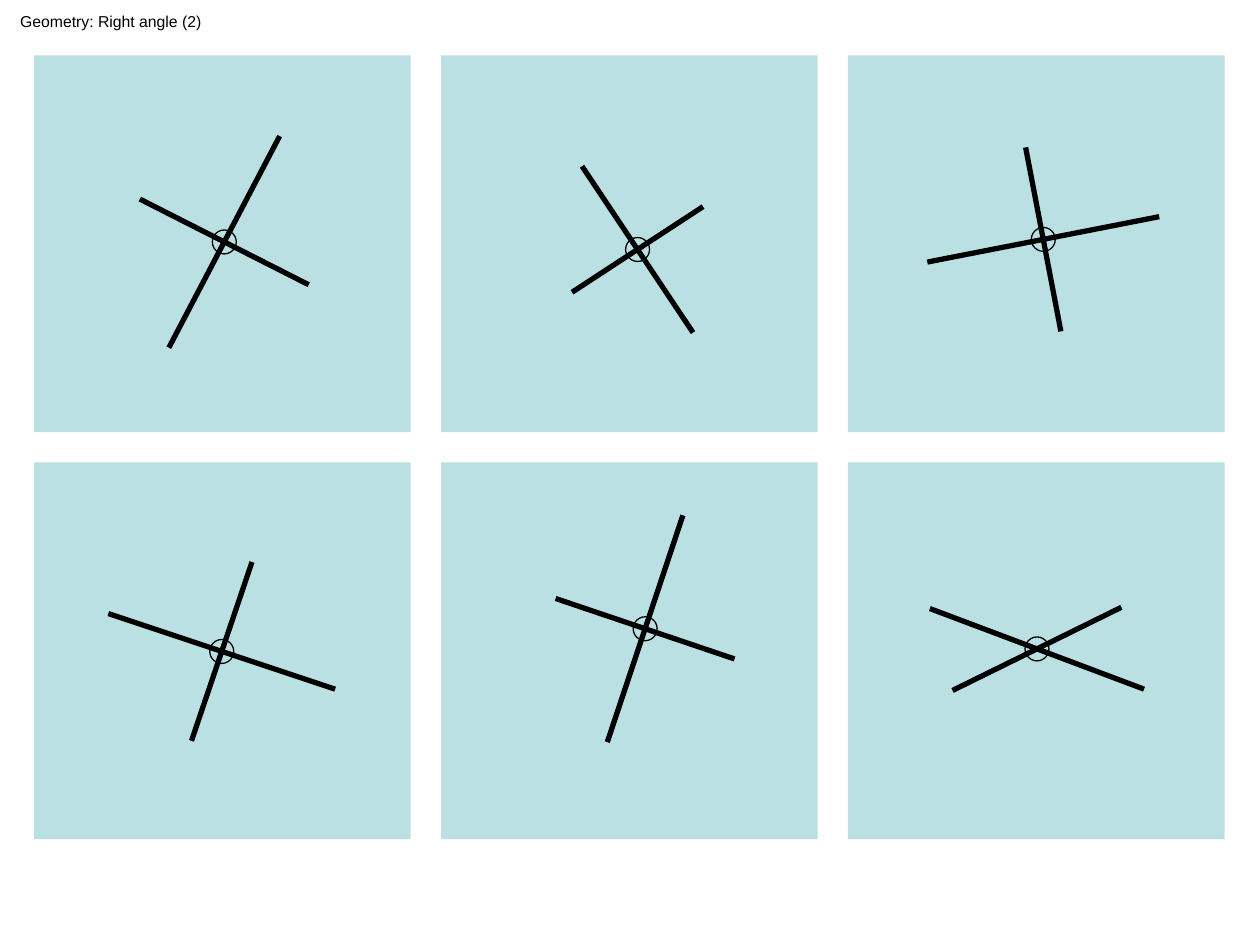
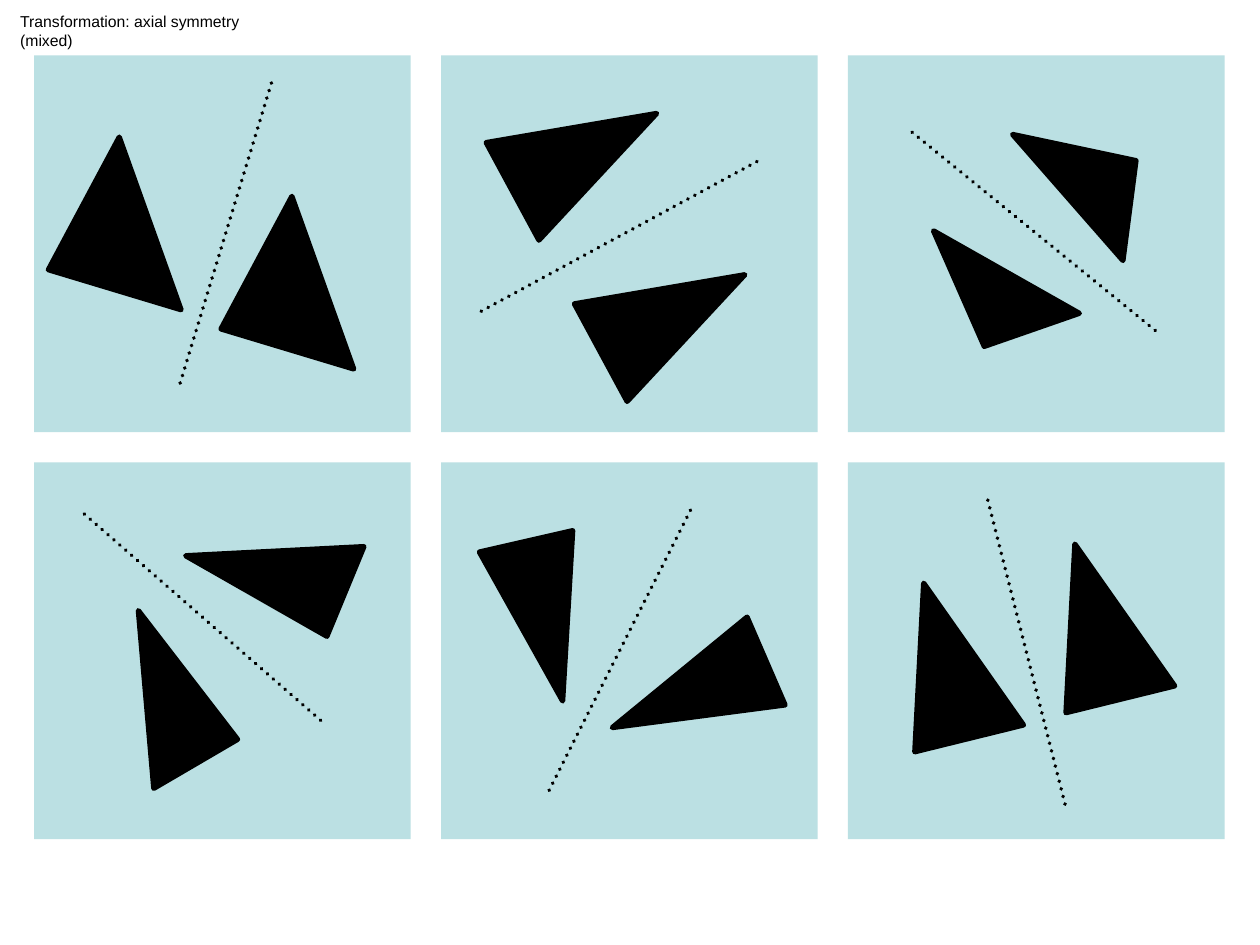
"""Build two geometry slides, each a grid of six panels."""
from dataclasses import dataclass
from pptx import Presentation, util as u
from pptx.dml.color import RGBColor as Rgb
from pptx.enum import dml, shapes, text
from pptx.oxml.ns import qn
from lxml import etree


@dataclass(frozen=True)
class Theme:
    """Colours, type, line widths and grid measures in inches."""
    ink: Rgb = Rgb(0, 0, 0)
    pale: Rgb = Rgb(0xBB, 0xE0, 0xE3)
    font: str = "Arial"
    size: float = 9
    bold: float = 3
    mid: float = 2.25
    thin: float = 0.75
    cols: int = 3
    left: float = 0.27
    top: float = 0.44
    side: float = 2.99
    step: float = 3.23
    ring: float = 0.19


T = Theme()

# Each cross: centre in its panel, then half of each stroke.
CROSSES = [
    ((1.51, 1.48), (-0.44, 0.84), (0.67, 0.34)),
    ((1.56, 1.54), (0.44, 0.66), (0.52, -0.34)),
    ((1.55, 1.46), (0.92, -0.18), (-0.14, -0.73)),
    ((1.49, 1.5), (0.9, 0.3), (0.24, -0.71)),
    ((1.62, 1.32), (0.3, -0.9), (-0.71, -0.24)),
    ((1.5, 1.48), (-0.85, -0.32), (-0.67, 0.33)),
]

# Each mirror: axis ends, then triangles as centre, size, peak and turn.
MIRRORS = [
    ((1.16, 2.6), (1.89, 0.2),
     [((2.18, 1.77), (1.1, 1.17), 0.213, 16.8),
      ((0.81, 1.3), (1.1, 1.17), 0.213, 16.8)]),
    ((0.32, 2.03), (2.53, 0.83),
     [((1.84, 2.05), (0.88, 1.3), 0.5, 61.6),
      ((1.14, 0.77), (0.88, 1.3), 0.5, 61.6)]),
    ((0.51, 0.61), (2.46, 2.2),
     [((1.97, 0.93), (1.33, 0.6), 0.603, 48.8),
      ((1.11, 1.98), (1.33, 0.6), 0.397, 209.5)]),
    ((0.4, 0.41), (2.29, 2.06),
     [((1.88, 0.78), (0.77, 1.28), 0.213, 292.4),
      ((0.96, 1.84), (0.77, 1.28), 0.787, 329.7)]),
    ((1.98, 0.38), (0.85, 2.62),
     [((0.82, 1.26), (0.76, 1.3), 0.5, 167.1),
      ((1.97, 1.84), (0.76, 1.33), 0.5, 246.6)]),
    ((1.11, 0.3), (1.73, 2.74),
     [((2.19, 1.34), (1.34, 0.85), 0.808, 93),
      ((0.99, 1.65), (1.34, 0.85), 0.808, 93)]),
]


def cell(num):
    """Return the top left corner of a panel."""
    row, col = divmod(num, T.cols)
    return T.left + col * T.step, T.top + row * T.step


def add(a, b, sign=1):
    """Return point a moved by b, or back by it."""
    return a[0] + sign * b[0], a[1] + sign * b[1]


def form(slide, kind, mid, size, fill=None, line=0):
    """Draw a preset shape around its centre."""
    pos = add(mid, size, -0.5)
    shape = slide.shapes.add_shape(kind, *map(u.Inches, (*pos, *size)))
    shape.shadow.inherit = False
    if fill is None:
        shape.fill.background()
    else:
        shape.fill.solid()
        shape.fill.fore_color.rgb = fill
    if line:
        shape.line.color.rgb = T.ink
        shape.line.width = u.Pt(line)
    else:
        shape.line.fill.background()
    return shape


def stroke(slide, start, end, width):
    """Draw a plain straight line."""
    line = slide.shapes.add_connector(
        shapes.MSO_CONNECTOR.STRAIGHT, *map(u.Inches, (*start, *end)))
    line.line.color.rgb = T.ink
    line.line.width = u.Pt(width)
    etree.SubElement(line._element.spPr, qn("a:effectLst"))
    return line


def page(deck, title, width):
    """Add a slide with its title and six panels."""
    slide = deck.slides.add_slide(deck.slide_layouts[5])
    head = slide.shapes.title
    head.left, head.top, head.width, head.height = map(
        u.Inches, (0.06, 0.04, width, 0.25))
    frame = head.text_frame
    frame.word_wrap = False
    frame.auto_size = text.MSO_AUTO_SIZE.SHAPE_TO_FIT_TEXT
    frame.vertical_anchor = text.MSO_ANCHOR.TOP
    para = frame.paragraphs[0]
    para.alignment = text.PP_ALIGN.LEFT
    run = para.add_run()
    run.text = title
    run.font.name, run.font.size = T.font, u.Pt(T.size)
    run.font.color.rgb = T.ink
    for num in range(6):
        mid = add(cell(num), (T.side / 2, T.side / 2))
        form(slide, shapes.MSO_SHAPE.RECTANGLE, mid, (T.side, T.side), T.pale)
    return slide


def cross(slide, num, mid, *halves):
    """Draw two strokes through a ringed centre."""
    mid = add(cell(num), mid)
    for half in halves:
        stroke(slide, add(mid, half, -1), add(mid, half), T.bold)
    form(slide, shapes.MSO_SHAPE.OVAL, mid, (T.ring, T.ring), line=T.thin)


def mirror(slide, num, start, end, tris):
    """Draw a dotted axis and the triangles beside it."""
    base = cell(num)
    axis = stroke(slide, add(base, start), add(base, end), T.mid)
    axis.line.dash_style = dml.MSO_LINE.ROUND_DOT
    axis.get_or_add_ln().set("cap", "rnd")
    for mid, size, peak, turn in tris:
        tri = form(slide, shapes.MSO_SHAPE.ISOSCELES_TRIANGLE,
                   add(base, mid), size, T.ink, T.bold)
        tri.adjustments[0] = peak
        tri.rotation = turn


def main():
    """Build both slides and save the deck."""
    deck = Presentation()
    deck.slide_width, deck.slide_height = u.Inches(10), u.Inches(7.5)
    slide = page(deck, "Geometry: Right angle (2)", 1.64)
    for num, item in enumerate(CROSSES):
        cross(slide, num, *item)
    slide = page(deck, "Transformation: axial symmetry (mixed)", 2.39)
    for num, item in enumerate(MIRRORS):
        mirror(slide, num, *item)
    deck.save("out.pptx")


if __name__ == "__main__":
    main()
